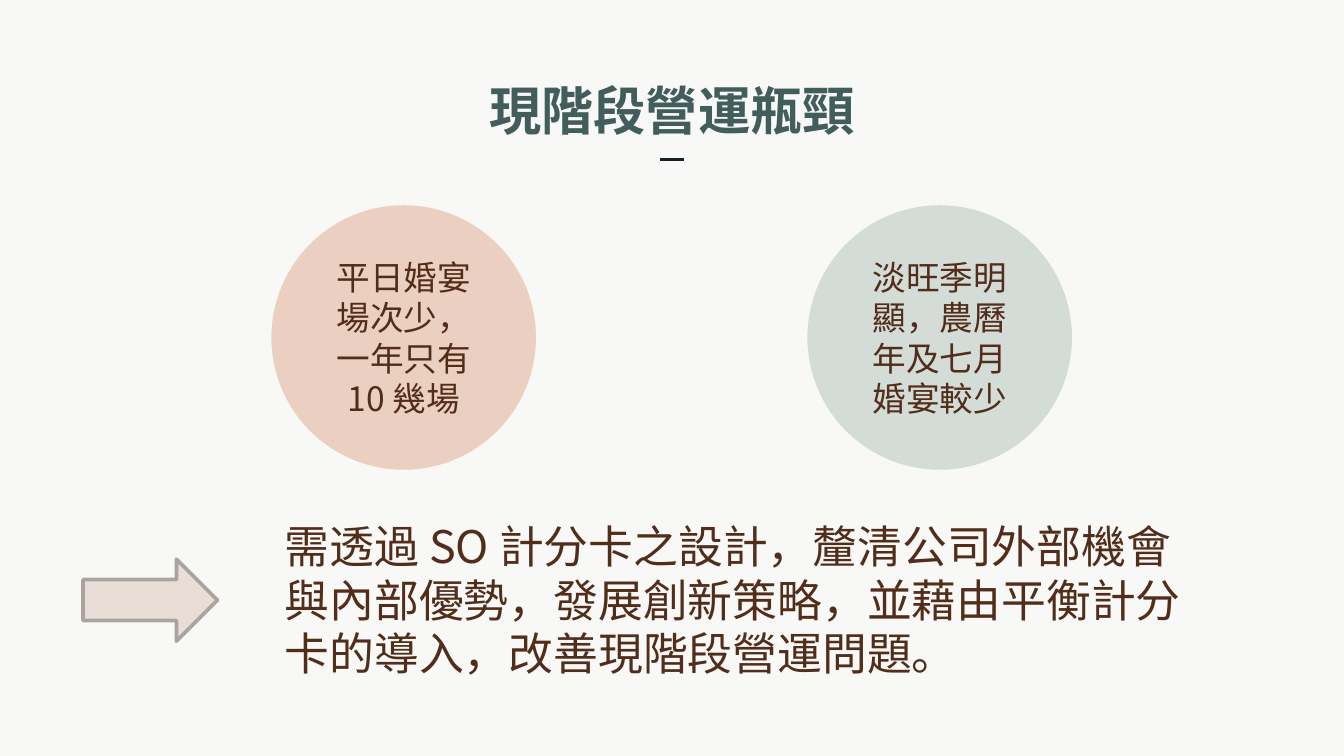
from pptx import Presentation
from pptx.dml.color import RGBColor
from pptx.enum.shapes import MSO_CONNECTOR as Connector, MSO_SHAPE as Shape
from pptx.enum.text import MSO_ANCHOR as Anchor, MSO_AUTO_SIZE as AutoSize, PP_ALIGN as Align
from pptx.oxml.ns import qn
from pptx.util import Cm, Pt

FONT_TC = "Noto Sans CJK TC"
FONT_SC = "Noto Sans CJK SC"
BROWN = "512D1A"


def color(hex_value):
    """Turn a hex string into a colour."""
    return RGBColor.from_string(hex_value)


def write_text(shape, text, size, font_name, font_color, align, anchor, bold=False):
    """Write one run into a shape, with the same Latin and East Asian font."""
    frame = shape.text_frame
    frame.word_wrap = True
    frame.vertical_anchor = anchor
    paragraph = frame.paragraphs[0]
    paragraph.alignment = align
    run = paragraph.add_run()
    run.text = text
    run.font.size = Pt(size)
    run.font.bold = bold
    run.font.color.rgb = color(font_color)
    run.font.name = font_name
    east_asian = run.font._element.makeelement(qn("a:ea"), {"typeface": font_name})
    run.font._element.find(qn("a:latin")).addnext(east_asian)


def add_filled_shape(slide, kind, left, top, width, height, fill):
    """Add a preset shape with a plain fill, no line and no shadow."""
    shape = slide.shapes.add_shape(kind, left, top, width, height)
    shape.shadow.inherit = False
    shape.fill.solid()
    shape.fill.fore_color.rgb = color(fill)
    shape.line.fill.background()
    return shape


def add_title(slide, left, top, width, height):
    """Place the heading with a short centred rule below it."""
    title = slide.shapes.add_textbox(left, top, width, height)
    frame = title.text_frame
    frame.margin_left = frame.margin_right = Cm(0.25)
    frame.margin_top = frame.margin_bottom = Cm(0.25)
    write_text(title, "現階段營運瓶頸", 28, FONT_TC, "415D5C", Align.CENTER, Anchor.MIDDLE, True)
    center = left + width // 2
    rule_top = top + height + Cm(0.14)
    half_rule = Cm(0.23)
    rule = slide.shapes.add_connector(
        Connector.STRAIGHT, center - half_rule, rule_top, center + half_rule, rule_top)
    rule.line.color.rgb = color("15212A")
    rule.line.width = Pt(1.5)
    properties = rule._element.spPr
    properties.append(properties.makeelement(qn("a:effectLst"), {}))


def add_bottlenecks(slide, left, top, width, height):
    """Place one circle per bottleneck, spread from side to side."""
    bottlenecks = [
        ("平日婚宴場次少，一年只有10 幾場", "EBCFC1"),
        ("淡旺季明顯，農曆年及七月婚宴較少", "D4DCD8"),
    ]
    step = (width - height) // (len(bottlenecks) - 1)
    for index, (text, fill) in enumerate(bottlenecks):
        circle = add_filled_shape(
            slide, Shape.OVAL, left + index * step, top, height, height, fill)
        write_text(circle, text, 18, FONT_TC, BROWN, Align.CENTER, Anchor.MIDDLE)


def add_conclusion(slide, left, top, width, height):
    """Place the arrow on the left and the conclusion beside it."""
    text_left = left + Cm(3.56)
    box = slide.shapes.add_textbox(text_left, top, left + width - text_left, height)
    text = ("需透過 SO 計分卡之設計，釐清公司外部機會與內部優勢，發展創新策略，"
            "並藉由平衡計分卡的導入，改善現階段營運問題。")
    write_text(box, text, 24, FONT_SC, BROWN, Align.LEFT, Anchor.TOP)
    box.text_frame.auto_size = AutoSize.SHAPE_TO_FIT_TEXT
    arrow_height = Cm(1.55)
    arrow = add_filled_shape(
        slide, Shape.RIGHT_ARROW, left, top + (height - arrow_height) // 2,
        Cm(2.54), arrow_height, "E9DDD7")
    arrow.line.color.rgb = color("ACA39F")
    arrow.line.width = Pt(2)


def main():
    """Build the slide and save it."""
    presentation = Presentation()
    presentation.slide_width = Cm(25.4)
    presentation.slide_height = Cm(14.29)
    slide = presentation.slides.add_slide(presentation.slide_layouts[6])
    slide.background.fill.solid()
    slide.background.fill.fore_color.rgb = color("F8F8F6")
    add_title(slide, Cm(4.72), Cm(1.27), Cm(15.96), Cm(1.6))
    add_bottlenecks(slide, Cm(5.13), Cm(3.88), Cm(15.13), Cm(5))
    add_conclusion(slide, Cm(1.57), Cm(9.68), Cm(21.44), Cm(3.33))
    presentation.save("out.pptx")


if __name__ == "__main__":
    main()
